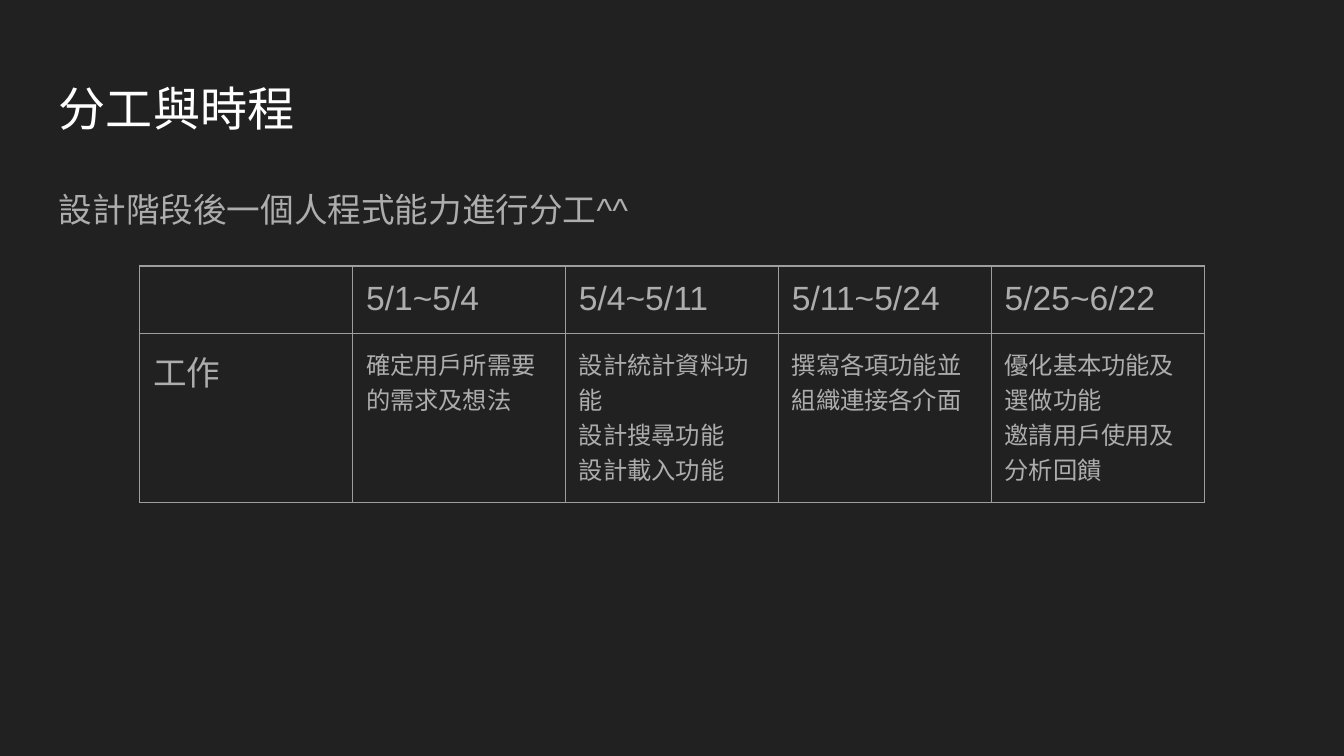
from lxml.etree import SubElement as Sub
from pptx import Presentation
from pptx.dml.color import RGBColor as RGB
from pptx.oxml.ns import qn
from pptx.util import Inches, Pt

# Content
TITLE = "分工與時程"
NOTE = "設計階段後一個人程式能力進行分工^^"
DATES = ["", "5/1~5/4", "5/4~5/11", "5/11~5/24", "5/25~6/22"]
TASKS = [
    "工作",
    "確定用戶所需要的需求及想法",
    "設計統計資料功能\n設計搜尋功能\n設計載入功能",
    "撰寫各項功能並組織連接各介面",
    "優化基本功能及選做功能\n邀請用戶使用及分析回饋",
]

# Style
FONT = "Arial"
DARK = RGB(0x21, 0x21, 0x21)
WHITE = RGB(0xFF, 0xFF, 0xFF)
GREY = RGB(0xAD, 0xAD, 0xAD)
RULE = RGB(0x9E, 0x9E, 0x9E)
PAD = Inches(0.1)
WIDE = 10
ROWS, ROW_H, TABLE_W = 4, 0.42, 7.92


def write(frame, text, size, color):
    frame.text = text
    for par in frame.paragraphs:
        font = par.font
        font.name, font.size = FONT, Pt(size)
        font.color.rgb = color


def add_text(slide, top, height, text, size, color, space):
    box = slide.shapes.add_textbox(
        Inches(0.34), Inches(top), Inches(9.32), Inches(height))
    frame = box.text_frame
    frame.word_wrap = True
    frame.margin_left = frame.margin_right = PAD
    frame.margin_top = frame.margin_bottom = PAD
    write(frame, text, size, color)
    frame.paragraphs[0].line_spacing = space


def style(cell):
    """Clear the fill and rule all four sides."""
    cell.fill.background()
    props = cell._tc.get_or_add_tcPr()
    for i, side in enumerate(("lnL", "lnR", "lnT", "lnB")):
        line = Sub(props, qn("a:" + side), w=str(Pt(0.75)))
        fill = Sub(line, qn("a:solidFill"))
        Sub(fill, qn("a:srgbClr"), val=str(RULE))
        props.insert(i, line)


def fill_in(cell, text, size):
    cell.margin_left = cell.margin_right = PAD
    cell.margin_top = cell.margin_bottom = PAD
    write(cell.text_frame, text, size, GREY)


# A 16:9 slide
prs = Presentation()
prs.slide_width, prs.slide_height = Inches(WIDE), Inches(WIDE * 9 / 16)
slide = prs.slides.add_slide(prs.slide_layouts[6])
slide.background.fill.solid()
slide.background.fill.fore_color.rgb = DARK

# Heading and note
add_text(slide, 0.49, 0.63, TITLE, 25.2, WHITE, 1.0)
add_text(slide, 1.26, 3.74, NOTE, 18, GREY, 1.15)

# Schedule: a date row, then one task row merged from the rest
cols = len(DATES)
table = slide.shapes.add_table(
    ROWS, cols, Inches(1.04), Inches(1.98),
    Inches(TABLE_W), Inches(ROW_H * ROWS)).table
table.first_row = table.horz_banding = False
for row in table.rows:
    row.height = Inches(ROW_H)
for cell in table.iter_cells():
    style(cell)
for c, (date, task) in enumerate(zip(DATES, TASKS)):
    table.columns[c].width = Inches(TABLE_W / cols)
    table.cell(1, c).merge(table.cell(ROWS - 1, c))
    if date:
        fill_in(table.cell(0, c), date, 18)
    fill_in(table.cell(1, c), task, 13 if c else 18)

prs.save("out.pptx")
